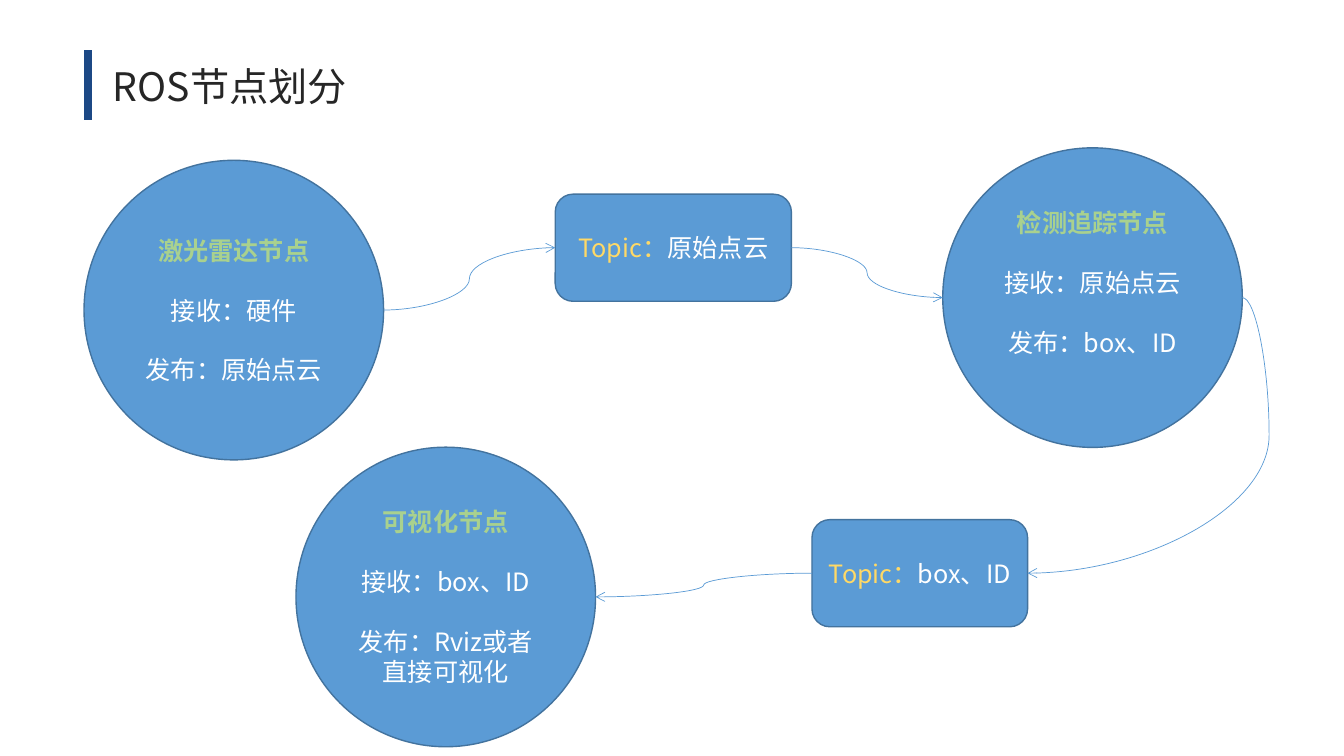
from lxml.etree import SubElement
from pptx import Presentation
from pptx.dml.color import RGBColor
from pptx.enum.shapes import MSO_CONNECTOR, MSO_SHAPE
from pptx.enum.text import MSO_ANCHOR, MSO_AUTO_SIZE, PP_ALIGN
from pptx.oxml.ns import qn
from pptx.util import Pt

COLORS = {
    "title": "262626", "bar": "1C4885", "fill": "5B9BD5", "outline": "43739E",
    "heading": "A9D18E", "topic": "FFD966", "text": "FFFFFF",
}
FONT = "Noto Sans CJK SC"
LINE = 21.4  # line pitch of the diagram text
DIAMETER = 214
TOPIC_HEIGHT = 76.5


def rgb(name):
    return RGBColor.from_string(COLORS[name])


def add_run(p, text, size=18, color="text", bold=False):
    r = p.add_run()
    r.text = text
    r.font.size, r.font.bold, r.font.name = Pt(size), bold, FONT
    r.font.color.rgb = rgb(color)
    SubElement(r.font._element, qn("a:ea"), typeface=FONT)


class Diagram:
    def __init__(self, slide):
        self.slide = slide

    def title(self, text, left, top, width, height):
        sp = self.slide.shapes.title
        sp.left, sp.top, sp.width, sp.height = map(Pt, (left, top, width, height))
        tf = sp.text_frame
        tf.auto_size, tf.word_wrap = MSO_AUTO_SIZE.NONE, False
        tf.vertical_anchor = MSO_ANCHOR.MIDDLE
        p = tf.paragraphs[0]
        p.alignment = PP_ALIGN.LEFT
        add_run(p, text, size=28, color="title")

    def box(self, kind, left, top, width, height, paragraphs):
        """Draw a shape; each paragraph is a list of (text, format) runs."""
        sp = self.slide.shapes.add_shape(kind, *map(Pt, (left, top, width, height)))
        sp.shadow.inherit = False
        sp.fill.solid()
        sp.fill.fore_color.rgb = rgb("fill")
        sp.line.color.rgb = rgb("outline")
        sp.line.width = Pt(1)
        tf = sp.text_frame
        tf.word_wrap = True
        tf.vertical_anchor = MSO_ANCHOR.MIDDLE
        for i, runs in enumerate(paragraphs):
            p = tf.add_paragraph() if i else tf.paragraphs[0]
            p.alignment = PP_ALIGN.CENTER
            p.line_spacing = Pt(LINE)
            p.space_before = Pt(LINE if i else 0)
            for text, fmt in runs:
                add_run(p, text, **fmt)
        return sp

    def node(self, left, top, name, receives, publishes):
        return self.box(MSO_SHAPE.OVAL, left, top, DIAMETER, DIAMETER, [
            [(name, {"color": "heading", "bold": True})],
            [("接收：" + receives, {})],
            [("发布：" + publishes, {})],
        ])

    def topic(self, left, top, width, name):
        return self.box(MSO_SHAPE.ROUNDED_RECTANGLE, left, top, width, TOPIC_HEIGHT,
                        [[("Topic：", {"color": "topic"}), (name, {})]])

    def line(self, kind, start, end, color, width):
        cxn = self.slide.shapes.add_connector(kind, *start, *end)
        cxn.line.color.rgb = rgb(color)
        cxn.line.width = Pt(width)
        SubElement(cxn._element.spPr, qn("a:effectLst"))
        return cxn

    def arrow(self, source, target, start_side="right", end_side="left", bend=50000):
        """Join two shapes at mid-height; bend is the curve's adjust value."""
        start, end = (
            (sp.left + (sp.width if side == "right" else 0), sp.top + sp.height // 2)
            for sp, side in ((source, start_side), (target, end_side)))
        cxn = self.line(MSO_CONNECTOR.CURVE, start, end, "fill", 0.5)
        SubElement(cxn.line._get_or_add_ln(), qn("a:tailEnd"), type="arrow")
        guides = cxn._element.spPr.find(qn("a:prstGeom")).get_or_add_avLst()
        SubElement(guides, qn("a:gd"), name="adj1", fmla=f"val {bend}")


def main():
    prs = Presentation()
    prs.slide_width, prs.slide_height = Pt(960), Pt(540)
    d = Diagram(prs.slides.add_slide(prs.slide_layouts[5]))

    d.title("ROS节点划分", 73.5, 40.5, 224, 41)
    d.line(MSO_CONNECTOR.STRAIGHT, (Pt(62.8), Pt(36)), (Pt(62.8), Pt(85.7)), "bar", 6)

    lidar = d.node(60, 114.5, "激光雷达节点", "硬件", "原始点云")
    cloud = d.topic(396.6, 138.7, 168.7, "原始点云")
    tracker = d.node(673.4, 105.6, "检测追踪节点", "原始点云", "box、ID")
    tracker.text_frame.margin_bottom = Pt(3.6 + LINE)
    viewer = d.node(211.4, 319.4, "可视化节点", "box、ID", "Rviz或者直接可视化")
    boxes = d.topic(580, 371.2, 154, "box、ID")

    d.arrow(lidar, cloud)
    d.arrow(cloud, tracker)
    d.arrow(tracker, boxes, end_side="right", bend=-12500)
    d.arrow(boxes, viewer, start_side="left", end_side="right")

    prs.save("out.pptx")


if __name__ == "__main__":
    main()
